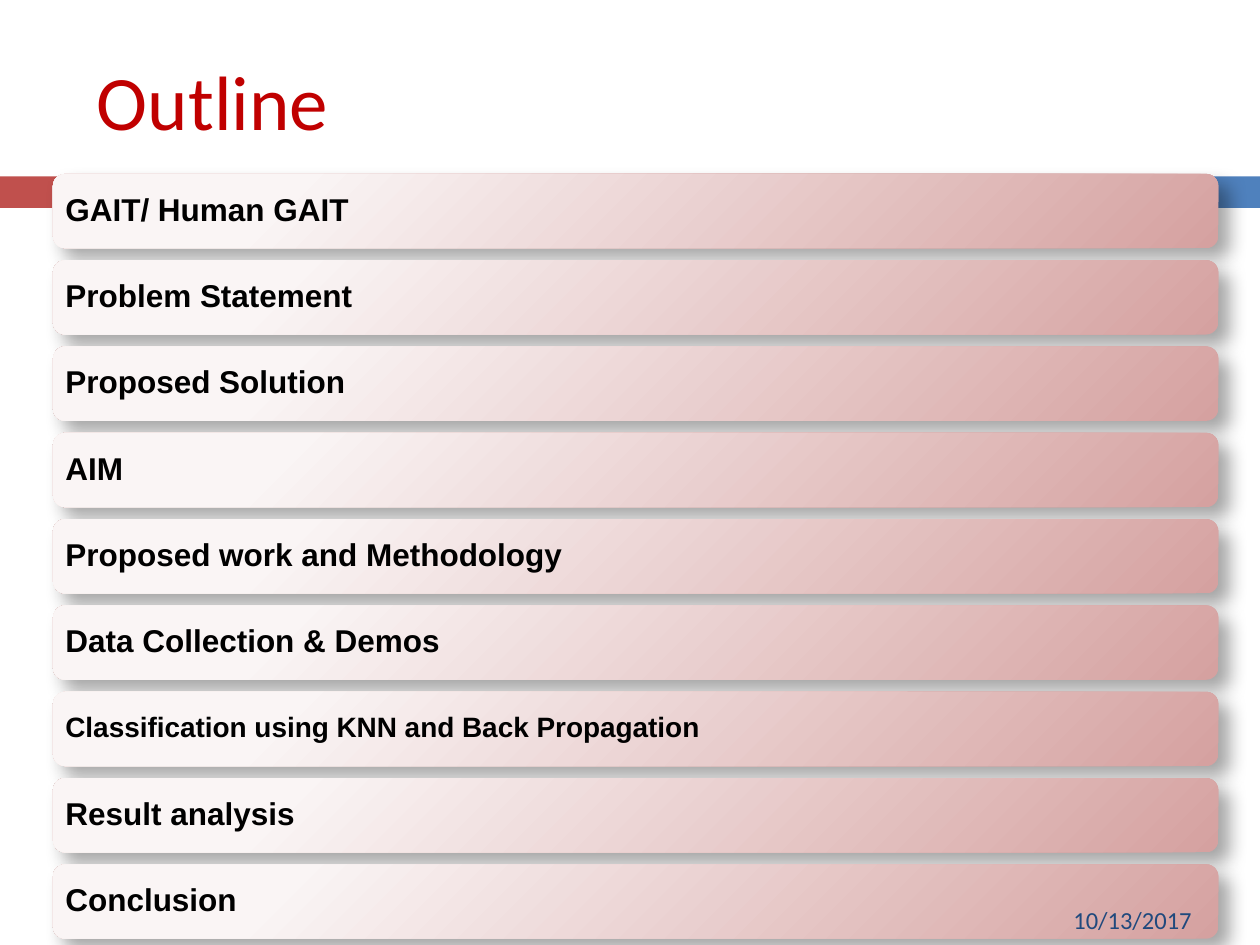
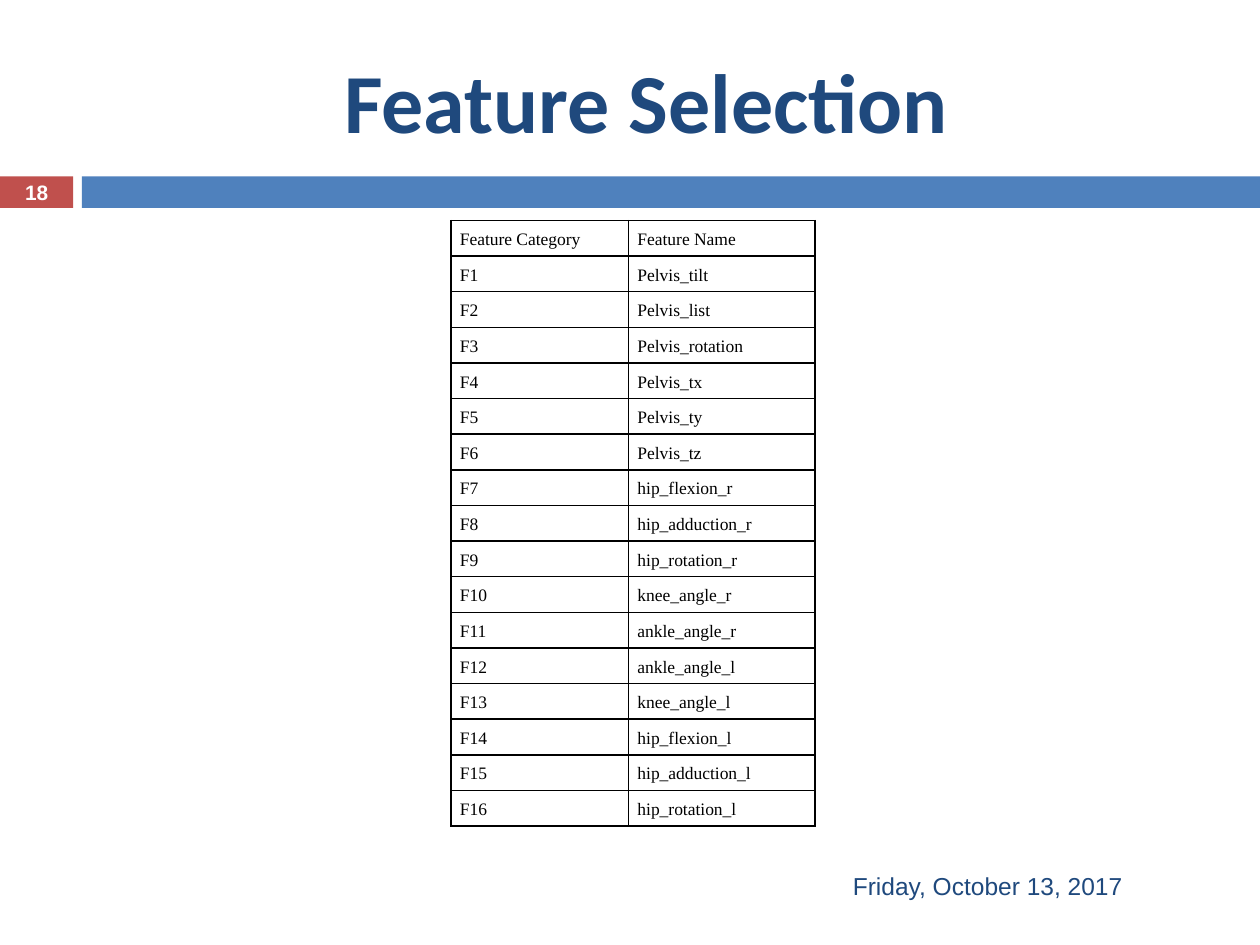
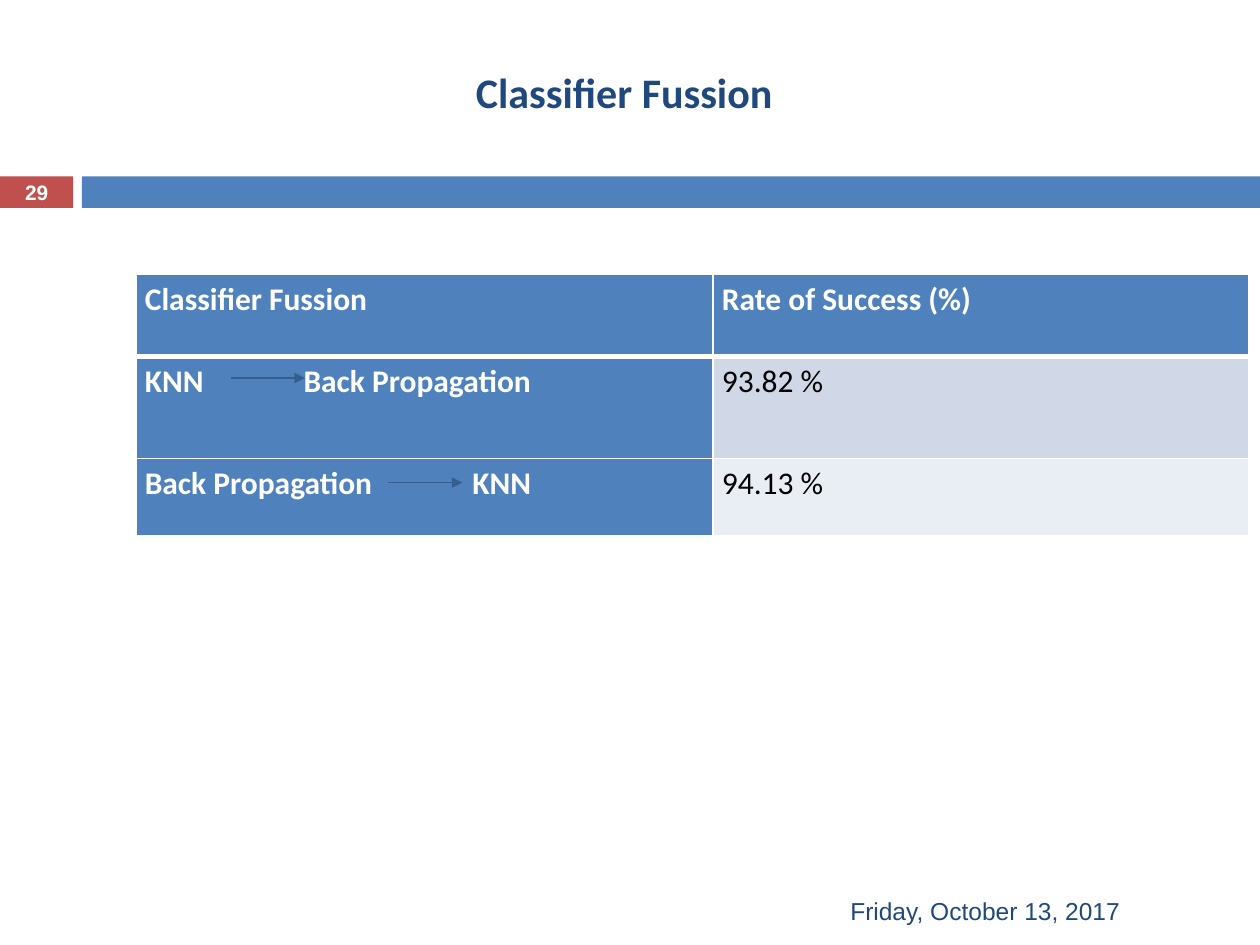
from dataclasses import dataclass

from lxml.etree import SubElement
from pptx import Presentation
from pptx.dml.color import RGBColor
from pptx.enum.shapes import MSO_CONNECTOR, MSO_SHAPE
from pptx.enum.text import MSO_ANCHOR, PP_ALIGN
from pptx.oxml import parse_xml
from pptx.oxml.ns import nsdecls, qn
from pptx.util import Inches, Pt


@dataclass(frozen=True)
class Theme:
    navy: str = "1F497D"
    blue: str = "4F81BD"
    arrow_blue: str = "355D8D"
    red: str = "C0504D"
    title_red: str = "C00000"
    card_light: str = "FAF5F5"
    card_dark: str = "D5A1A0"
    row_dark: str = "D0D8E8"
    row_light: str = "E9EDF4"
    white: str = "FFFFFF"
    black: str = "000000"
    heading_font: str = "Calibri"
    body_font: str = "Arial"
    table_font: str = "Times New Roman"
    outline_title_size: float = 44
    feature_title_size: float = 48
    fusion_title_size: float = 24
    card_size: float = 18
    long_card_size: float = 16
    date_size: float = 14
    number_size: float = 11.9
    feature_size: float = 10
    fusion_size: float = 18


THEME = Theme()

OUTLINE_TOPICS = [
    "GAIT/ Human GAIT", "Problem Statement", "Proposed Solution", "AIM",
    "Proposed work and Methodology", "Data Collection & Demos",
    "Classification using KNN and Back Propagation", "Result analysis", "Conclusion",
]
FEATURE_NAMES = [
    "Pelvis_tilt", "Pelvis_list", "Pelvis_rotation", "Pelvis_tx", "Pelvis_ty", "Pelvis_tz",
    "hip_flexion_r", "hip_adduction_r", "hip_rotation_r", "knee_angle_r", "ankle_angle_r",
    "ankle_angle_l", "knee_angle_l", "hip_flexion_l", "hip_adduction_l", "hip_rotation_l",
]
FUSION_ROWS = [
    ("Classifier Fussion", "Rate of Success (%)"),
    ("KNN\tBack Propagation", "93.82 %"),
    ("Back Propagation\tKNN", "94.13 %"),
]
LONG_DATE = "Friday, October 13, 2017"


def write(text_frame, text, size, color, font=THEME.body_font, bold=False,
          align=PP_ALIGN.LEFT, line_spacing=None):
    """Set one styled paragraph and return it."""
    paragraph = text_frame.paragraphs[0]
    paragraph.text = text
    paragraph.alignment = align
    if line_spacing:
        paragraph.line_spacing = line_spacing
    for run in paragraph.runs:
        run.font.size = Pt(size)
        run.font.name = font
        run.font.bold = bold
        run.font.color.rgb = RGBColor.from_string(color)
    return paragraph


def set_margins(target, horizontal, vertical):
    target.margin_left = target.margin_right = Inches(horizontal)
    target.margin_top = target.margin_bottom = Inches(vertical)


def add_text(slide, left, top, width, height, text, size, color, **style):
    box = slide.shapes.add_textbox(Inches(left), Inches(top), Inches(width), Inches(height))
    box.text_frame.word_wrap = True
    box.text_frame.vertical_anchor = MSO_ANCHOR.MIDDLE
    write(box.text_frame, text, size, color, **style)


def add_title(slide, text, size, color=THEME.navy, left=0.67, top=0.25, width=8.92, **style):
    add_text(slide, left, top, width, 1.08, text, size, color, font=THEME.heading_font, **style)


def add_band(slide, left, width, color):
    band = slide.shapes.add_shape(MSO_SHAPE.RECTANGLE, Inches(left), Inches(1.4),
                                  Inches(width), Inches(0.25))
    band.shadow.inherit = False
    band.fill.solid()
    band.fill.fore_color.rgb = RGBColor.from_string(color)
    band.line.fill.background()
    return band


def add_banded_slide(presentation, number=None):
    """Add a blank slide with the two bands and, if given, its number."""
    slide = presentation.slides.add_slide(presentation.slide_layouts[6])
    number_band = add_band(slide, 0, 0.58, THEME.red)
    add_band(slide, 0.65, 9.35, THEME.blue)
    if number:
        text_frame = number_band.text_frame
        set_margins(text_frame, 0, 0)
        text_frame.vertical_anchor = MSO_ANCHOR.MIDDLE
        write(text_frame, str(number), THEME.number_size, THEME.white, bold=True,
              align=PP_ALIGN.CENTER)
    return slide


def add_topic_card(slide, top, text, size):
    card = slide.shapes.add_shape(MSO_SHAPE.ROUNDED_RECTANGLE, Inches(0.42), Inches(top),
                                  Inches(9.25), Inches(0.59))
    card.line.fill.background()
    properties = card._element.spPr
    gradient = parse_xml(
        f'<a:gradFill {nsdecls("a")} rotWithShape="1"><a:gsLst>'
        f'<a:gs pos="20000"><a:srgbClr val="{THEME.card_light}"/></a:gs>'
        f'<a:gs pos="100000"><a:srgbClr val="{THEME.card_dark}"/></a:gs></a:gsLst>'
        '<a:path path="circle"><a:fillToRect l="-15000" t="-15000" r="115000" b="115000"/>'
        '</a:path></a:gradFill>')
    properties.find(qn("a:ln")).addprevious(gradient)
    properties.append(parse_xml(
        f'<a:effectLst {nsdecls("a")}><a:outerShdw blurRad="{Pt(10.2)}" dist="{Pt(8)}" '
        f'dir="2700000" algn="tl" rotWithShape="0"><a:srgbClr val="{THEME.black}">'
        '<a:alpha val="35000"/></a:srgbClr></a:outerShdw></a:effectLst>'))
    text_frame = card.text_frame
    text_frame.vertical_anchor = MSO_ANCHOR.MIDDLE
    set_margins(text_frame, 0.07, 0.07)
    write(text_frame, text, size, THEME.black, bold=True, line_spacing=0.9)


def set_borders(cell, color, top=1, bottom=1):
    properties = cell._tc.get_or_add_tcPr()
    widths = {"lnL": 1, "lnR": 1, "lnT": top, "lnB": bottom}
    for position, (side, width) in enumerate(widths.items()):
        properties.insert(position, parse_xml(
            f'<a:{side} {nsdecls("a")} w="{Pt(width)}"><a:solidFill>'
            f'<a:srgbClr val="{color}"/></a:solidFill></a:{side}>'))


def add_plain_table(slide, left, top, column_widths, row_heights):
    """Add a table without style banding, with narrow cell margins."""
    table = slide.shapes.add_table(
        len(row_heights), len(column_widths), Inches(left), Inches(top),
        Inches(sum(column_widths)), Inches(sum(row_heights))).table
    table.first_row = table.horz_banding = False
    for column, width in zip(table.columns, column_widths):
        column.width = Inches(width)
    for row, height in zip(table.rows, row_heights):
        row.height = Inches(height)
    for cell in table.iter_cells():
        set_margins(cell, 0.07, 0)
    return table


def fill_cell(cell, color):
    cell.fill.solid()
    cell.fill.fore_color.rgb = RGBColor.from_string(color)


def add_tab_stop(paragraph, position):
    tab_list = SubElement(paragraph._p.get_or_add_pPr(), qn("a:tabLst"))
    SubElement(tab_list, qn("a:tab"), pos=str(Inches(position)), algn="l")


def add_arrow(slide, left, y, length=0.59):
    arrow = slide.shapes.add_connector(MSO_CONNECTOR.STRAIGHT, Inches(left), Inches(y),
                                       Inches(left + length), Inches(y))
    arrow.line.color.rgb = RGBColor.from_string(THEME.arrow_blue)
    arrow.line.width = Pt(0.75)
    SubElement(arrow.line._get_or_add_ln(), qn("a:tailEnd"), type="triangle")
    SubElement(arrow._element.spPr, qn("a:effectLst"))


def build_outline(presentation):
    slide = add_banded_slide(presentation)
    for index, topic in enumerate(OUTLINE_TOPICS):
        size = THEME.long_card_size if len(topic) > 40 else THEME.card_size
        add_topic_card(slide, 1.38 + index * 0.685, topic, size)
    add_text(slide, 8.42, 7.1, 1.42, 0.4, "10/13/2017", THEME.date_size, THEME.navy,
             font=THEME.heading_font)
    add_title(slide, "Outline", THEME.outline_title_size, THEME.title_red)


def build_feature_selection(presentation):
    slide = add_banded_slide(presentation, 18)
    add_title(slide, "Feature Selection", THEME.feature_title_size, bold=True,
              align=PP_ALIGN.CENTER)
    add_text(slide, 6.67, 6.83, 2.92, 0.4, LONG_DATE, THEME.date_size, THEME.navy)
    rows = [("Feature Category", "Feature Name")]
    rows += [(f"F{number}", name) for number, name in enumerate(FEATURE_NAMES, 1)]
    table = add_plain_table(slide, 3.58, 1.75, [1.41, 1.48], [4.81 / len(rows)] * len(rows))
    for row, texts in zip(table.rows, rows):
        for cell, text in zip(row.cells, texts):
            write(cell.text_frame, text, THEME.feature_size, THEME.black,
                  font=THEME.table_font, align=PP_ALIGN.JUSTIFY, line_spacing=1.5)
            fill_cell(cell, THEME.white)
            set_borders(cell, THEME.black)


def build_classifier_fusion(presentation):
    slide = add_banded_slide(presentation, 29)
    add_title(slide, "Classifier Fussion", THEME.fusion_title_size, left=0.29, top=0.19,
              width=9.33, bold=True, align=PP_ALIGN.CENTER)
    add_text(slide, 6.65, 7.03, 2.92, 0.4, LONG_DATE, THEME.date_size, THEME.navy)
    table = add_plain_table(slide, 1.08, 2.18, [4.58, 4.25], [0.65, 0.81, 0.61])
    rate_fills = [THEME.blue, THEME.row_dark, THEME.row_light]
    tab_stops = [None, 1.26, 2.6]
    for row_index, texts in enumerate(FUSION_ROWS):
        for column_index, text in enumerate(texts):
            cell = table.cell(row_index, column_index)
            is_heading = row_index == 0 or column_index == 0
            if "\t" in text:
                add_tab_stop(cell.text_frame.paragraphs[0], tab_stops[row_index])
            paragraph = write(cell.text_frame, text, THEME.fusion_size,
                              THEME.white if is_heading else THEME.black,
                              font=THEME.heading_font, bold=is_heading, line_spacing=1.15)
            paragraph.space_after = Pt(10)
            fill_cell(cell, THEME.blue if is_heading else rate_fills[row_index])
            set_borders(cell, THEME.white, top=3 if row_index == 1 else 1,
                        bottom=3 if row_index == 0 else 1)
    add_arrow(slide, 1.83, 3)
    add_arrow(slide, 3.08, 3.83)


def main():
    presentation = Presentation()
    presentation.slide_width = Inches(10)
    presentation.slide_height = Inches(7.5)
    build_outline(presentation)
    build_feature_selection(presentation)
    build_classifier_fusion(presentation)
    presentation.save("out.pptx")


if __name__ == "__main__":
    main()
